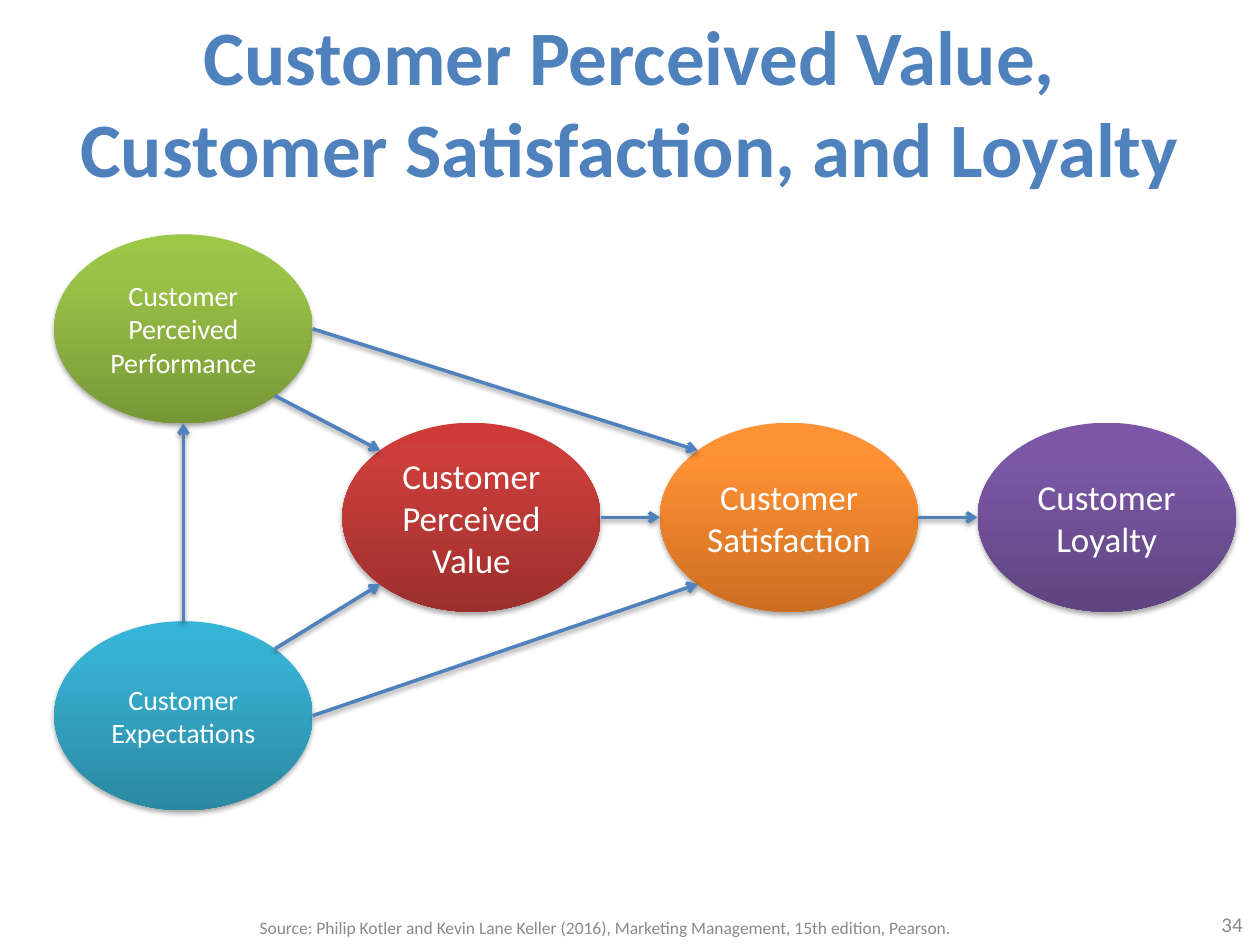
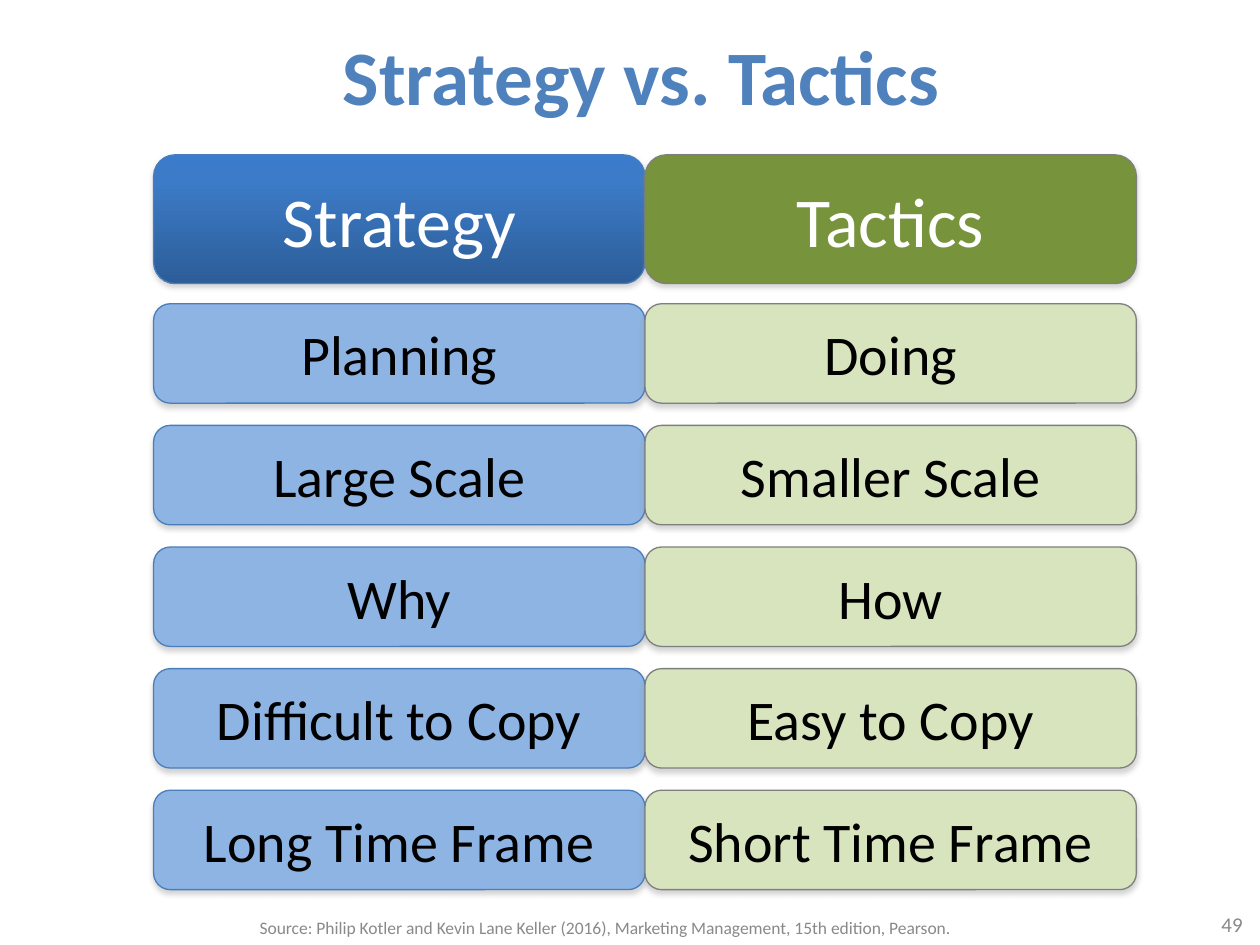
from copy import deepcopy
from math import cos, radians, sin

from lxml.etree import SubElement
from pptx import Presentation
from pptx.dml.color import RGBColor
from pptx.enum.shapes import MSO_CONNECTOR as Connector, MSO_SHAPE as Preset
from pptx.enum.text import MSO_ANCHOR as Anchor, PP_ALIGN as Align
from pptx.oxml.ns import qn
from pptx.util import Pt

COLORS = {
    "accent": "4F81BD", "muted": "898989", "white": "FFFFFF", "black": "000000",
    "strategy line": "4A7EBB", "strategy row": "8EB4E3",
    "tactics line": "7F7F7F", "tactics row": "D7E4BD", "tactics head": "77933C",
    "shadow": "808080",
}
# Gradients run from top to bottom, with stops at GRADIENT_STOPS.
GRADIENTS = {
    "green": ("9DC746", "9BC348", "779737"),
    "teal": ("34B4D6", "37B1D2", "2A88A2"),
    "red": ("CE3B37", "CB3E3A", "9C2F2D"),
    "orange": ("FF9136", "FF9034", "CC6E20"),
    "purple": ("7C57A8", "7B58A6", "5F4480"),
    "strategy head": ("3A7CCB", "3C7BC7", "2C5D98"),
}
GRADIENT_STOPS = (0, 0.2, 1)
FONT = "Calibri"
SOURCE = ("Source: Philip Kotler and Kevin Lane Keller (2016), "
          "Marketing Management, 15th edition, Pearson.")

# Connection sites of an ellipse, counted counterclockwise from the top
TOP, TOP_LEFT, LEFT, BOTTOM_LEFT, BOTTOM, BOTTOM_RIGHT, RIGHT, TOP_RIGHT = range(8)


def rgb(name):
    return RGBColor.from_string(COLORS[name])


def site_point(ellipse, site):
    """Return the x and y of a connection site on an ellipse."""
    angle = radians(45 * site)
    x = ellipse.left + ellipse.width / 2 * (1 - sin(angle))
    y = ellipse.top + ellipse.height / 2 * (1 - cos(angle))
    return int(x), int(y)


class SlideBuilder:
    def __init__(self, deck):
        self.deck = deck
        self.page = None

    def start_page(self, title, number, title_left, title_height):
        """Add a slide with its title, page number and source line."""
        self.page = self.deck.slides.add_slide(self.deck.slide_layouts[6])
        self.text(title, (title_left, 9.4, 648, title_height), 44, "accent", bold=True)
        self.text(str(number), (549.4, 513.4, 167.8, 28.8), 12, "muted", Align.RIGHT)
        self.text(SOURCE, (36.7, 519.8, 617.8, 20.2), 10, "muted")

    def fill_text(self, shape, text, size, color, align=Align.CENTER, bold=False):
        """Put centred lines of text, one paragraph each, into a shape."""
        frame = shape.text_frame
        frame.word_wrap = True
        frame.vertical_anchor = Anchor.MIDDLE
        for index, line in enumerate(text.split("\n")):
            para = frame.add_paragraph() if index else frame.paragraphs[0]
            para.alignment = align
            span = para.add_run()
            span.text = line
            span.font.name = FONT
            span.font.size = Pt(size)
            span.font.bold = bold
            span.font.color.rgb = rgb(color)

    def text(self, text, place, size, color, align=Align.CENTER, bold=False):
        box = self.page.shapes.add_textbox(*map(Pt, place))
        self.fill_text(box, text, size, color, align, bold)

    def shadow(self, shape, color, alpha, distance):
        """Give a shape or connector a soft shadow straight below it."""
        properties = shape._element.spPr
        effects = properties.find(qn("a:effectLst"))
        if effects is None:
            effects = SubElement(properties, qn("a:effectLst"))
        outer = SubElement(effects, qn("a:outerShdw"), blurRad=str(Pt(3.1)),
                           dist=str(Pt(distance)), dir="5400000", rotWithShape="0")
        tint = SubElement(outer, qn("a:srgbClr"), val=COLORS[color])
        SubElement(tint, qn("a:alpha"), val=str(alpha * 1000))

    def paint(self, shape, fill):
        if fill not in GRADIENTS:
            shape.fill.solid()
            shape.fill.fore_color.rgb = rgb(fill)
            return
        shape.fill.gradient()
        shape.fill.gradient_angle = 270
        stop_list = shape._element.spPr.find(qn("a:gradFill")).find(qn("a:gsLst"))
        stop_list.append(deepcopy(stop_list[-1]))
        stops = zip(shape.fill.gradient_stops, GRADIENT_STOPS, GRADIENTS[fill])
        for stop, position, color in stops:
            stop.position = position
            stop.color.rgb = RGBColor.from_string(color)

    def shape(self, preset, place, fill, shadow_color):
        shape = self.page.shapes.add_shape(preset, *map(Pt, place))
        shape.shadow.inherit = False
        self.paint(shape, fill)
        self.shadow(shape, shadow_color, 35, 1.8)
        return shape

    def ellipse(self, text, left, top, fill, size):
        ellipse = self.shape(Preset.OVAL, (left, top, 147.6, 108), fill, "black")
        ellipse.line.fill.background()
        frame = ellipse.text_frame
        frame.margin_left = frame.margin_right = Pt(0)
        frame.margin_top = frame.margin_bottom = Pt(0)
        self.fill_text(ellipse, text, size, "white")
        return ellipse

    def card(self, text, place, fill, line, size, color):
        card = self.shape(Preset.ROUNDED_RECTANGLE, place, fill, "shadow")
        card.line.color.rgb = rgb(line)
        card.line.width = Pt(0.75)
        self.fill_text(card, text, size, color)

    def arrow(self, start, start_site, end, end_site):
        """Draw an arrow glued to a connection site of two ellipses."""
        arrow = self.page.shapes.add_connector(
            Connector.STRAIGHT, *site_point(start, start_site), *site_point(end, end_site))
        arrow.line.color.rgb = rgb("accent")
        arrow.line.width = Pt(2)
        SubElement(arrow._element.spPr.find(qn("a:ln")), qn("a:tailEnd"), type="arrow")
        self.shadow(arrow, "black", 38, 1.6)
        joints = arrow._element.nvCxnSpPr.cNvCxnSpPr
        for tag, shape, site in (("a:stCxn", start, start_site), ("a:endCxn", end, end_site)):
            SubElement(joints, qn(tag), id=str(shape.shape_id), idx=str(site))


def build_loyalty_model(builder):
    builder.start_page("Customer Perceived Value, Customer Satisfaction, and Loyalty",
                       34, 36, 96.5)
    performance = builder.ellipse("Customer Perceived Performance", 31, 133.9, "green", 16)
    expectations = builder.ellipse("Customer\nExpectations", 31, 355, "teal", 16)
    outcomes = (("Customer\nPerceived Value", "red"),
                ("Customer\nSatisfaction", "orange"),
                ("Customer\nLoyalty", "purple"))
    value, satisfaction, loyalty = [
        builder.ellipse(text, 195.6 + 181.5 * column, 241.6, fill, 20)
        for column, (text, fill) in enumerate(outcomes)]
    for link in (
        (performance, BOTTOM_RIGHT, value, TOP_LEFT),
        (expectations, TOP_RIGHT, value, BOTTOM_LEFT),
        (expectations, TOP, performance, BOTTOM),
        (performance, RIGHT, satisfaction, TOP_LEFT),
        (expectations, RIGHT, satisfaction, BOTTOM_LEFT),
        (value, RIGHT, satisfaction, LEFT),
        (satisfaction, RIGHT, loyalty, LEFT),
    ):
        builder.arrow(*link)


def build_strategy_and_tactics(builder):
    builder.start_page("Strategy vs. Tactics", 49, 42.5, 66.2)
    width = 280.8
    columns = {
        "Strategy": ("Planning", "Large Scale", "Why", "Difficult to Copy",
                     "Long Time Frame"),
        "Tactics": ("Doing", "Smaller Scale", "How", "Easy to Copy",
                    "Short Time Frame"),
    }
    for column, (heading, rows) in enumerate(columns.items()):
        left = 87.8 + column * width
        style = heading.lower()
        builder.card(heading, (left, 88.5, width, 73.6), f"{style} head",
                     f"{style} line", 40, "white")
        for row, text in enumerate(rows):
            builder.card(text, (left, 173.6 + 69.5 * row, width, 56.8), f"{style} row",
                         f"{style} line", 32, "black")


def main():
    deck = Presentation()
    deck.slide_width, deck.slide_height = Pt(720), Pt(540)
    builder = SlideBuilder(deck)
    build_loyalty_model(builder)
    build_strategy_and_tactics(builder)
    deck.save("out.pptx")


if __name__ == "__main__":
    main()
